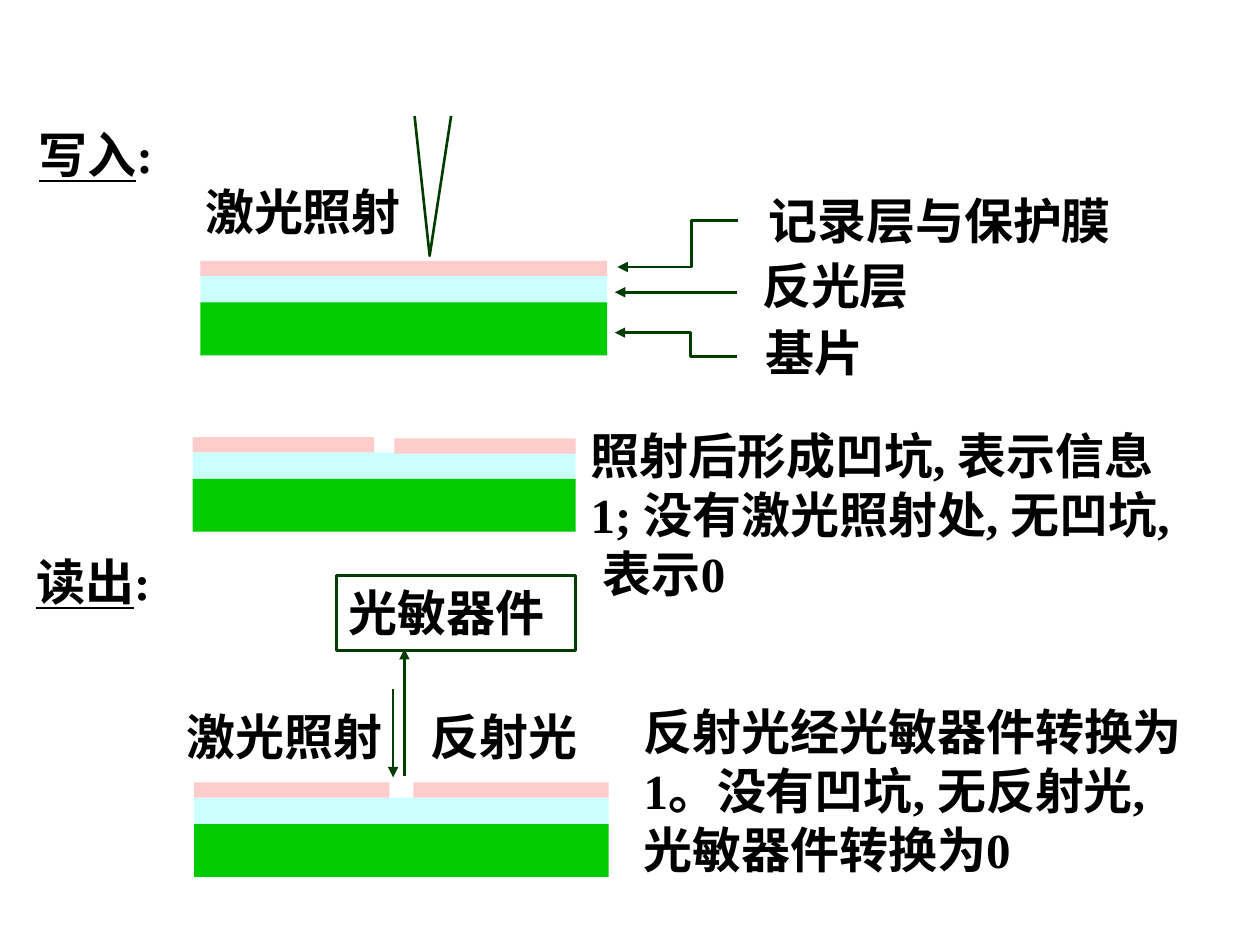
import dataclasses
import pptx
import pptx.dml.color
import pptx.enum.shapes
import pptx.enum.text
import pptx.oxml.ns
import pptx.util
from lxml import etree

Inches = pptx.util.Inches
Pt = pptx.util.Pt
RGB = pptx.dml.color.RGBColor.from_string
RECT = pptx.enum.shapes.MSO_SHAPE.RECTANGLE
LINE = pptx.enum.shapes.MSO_CONNECTOR.STRAIGHT
qn = pptx.oxml.ns.qn


@dataclasses.dataclass
class Theme:
    ink: str = "000000"
    edge: str = "003C00"
    film: str = "FFCCCC"
    mirror: str = "CCFFFF"
    base: str = "00CC00"
    font: str = "Times New Roman"
    size: int = 28
    thin: float = 1.5
    thick: float = 1.75


theme = Theme()


def write(shape, text, under=""):
    """Set underlined words, then plain text, in a top-left aligned frame."""
    frame = shape.text_frame
    frame.word_wrap = True
    frame.auto_size = pptx.enum.text.MSO_AUTO_SIZE.SHAPE_TO_FIT_TEXT
    frame.vertical_anchor = pptx.enum.text.MSO_ANCHOR.TOP
    para = frame.paragraphs[0]
    para.alignment = pptx.enum.text.PP_ALIGN.LEFT
    for words, line in ((under, True), (text, False)):
        if words:
            run = para.add_run()
            run.text = words
            run.font.name = theme.font
            run.font.size = Pt(theme.size)
            run.font.bold = True
            run.font.underline = line
            run.font.color.rgb = RGB(theme.ink)


def stroke(shape, width, arrow=None):
    """Draw the line without shadow; arrow is headEnd or tailEnd."""
    shape.line.color.rgb = RGB(theme.edge)
    shape.line.width = Pt(width)
    props = shape._element.spPr
    if arrow:
        etree.SubElement(props.find(qn("a:ln")), qn("a:" + arrow), type="triangle")
    etree.SubElement(props, qn("a:effectLst"))


deck = pptx.Presentation()
deck.slide_width = Inches(10)
deck.slide_height = Inches(7.5)
slide = deck.slides.add_slide(deck.slide_layouts[6])
shapes = slide.shapes

# Discs: left, width, mirror top, base top, film pieces (left, top, width)
discs = [
    (1.59, 3.23, 2.18, 2.4, [(1.59, 2.07, 3.23)]),
    (1.53, 3.04, 3.59, 3.8, [(1.53, 3.47, 1.44), (3.13, 3.48, 1.44)]),
    (1.54, 3.29, 6.33, 6.54, [(1.54, 6.21, 1.55), (3.28, 6.21, 1.55)]),
]
for left, width, mid, low, films in discs:
    disc = shapes.add_group_shape()
    layers = [(left, mid, width, 0.23, theme.mirror),
              (left, low, width, 0.42, theme.base)]
    layers += [(*film, 0.12, theme.film) for film in films]
    for *box, color in layers:
        layer = disc.shapes.add_shape(RECT, *map(Inches, box))
        layer.shadow.inherit = False
        layer.fill.solid()
        layer.fill.fore_color.rgb = RGB(color)
        layer.line.fill.background()

# Laser beam and bent leaders
bends = [
    ([(3.29, 0.92), (3.41, 2.03), (3.58, 0.92)], None),
    ([(4.9, 2.12), (5.49, 2.12), (5.49, 1.75), (5.86, 1.75)], "headEnd"),
    ([(4.88, 2.64), (5.48, 2.64), (5.48, 2.83), (5.85, 2.83)], "headEnd"),
]
for points, arrow in bends:
    first, *rest = [(Inches(x), Inches(y)) for x, y in points]
    pen = shapes.build_freeform(*first)
    pen.add_line_segments(rest, close=False)
    bend = pen.convert_to_shape()
    bend.fill.background()
    stroke(bend, theme.thin, arrow)

# Straight arrows: mirror leader, laser down, reflection up
for ends in [(5.85, 2.32, 4.88, 2.32),
             (3.12, 5.47, 3.12, 6.17),
             (3.21, 6.16, 3.21, 5.15)]:
    stroke(shapes.add_connector(LINE, *map(Inches, ends)), theme.thin, "tailEnd")

sensor = shapes.add_shape(RECT, Inches(2.67), Inches(4.57), Inches(1.9), Inches(0.59))
sensor.fill.background()
stroke(sensor, theme.thick)
write(sensor, "光敏器件")

# Labels: left, top, width, height, text, underlined lead
labels = [
    (0.21, 0.94, 1.47, 0.57, ":", "写入"),
    (1.53, 1.39, 2.02, 0.57, "激光照射", ""),
    (6, 1.46, 3.41, 0.57, "记录层与保护膜", ""),
    (5.95, 1.98, 1.61, 0.57, "反光层", ""),
    (5.98, 2.51, 1.88, 0.57, "基片", ""),
    (4.59, 3.33, 4.74, 1.51,
     "照射后形成凹坑, 表示信息1; 没有激光照射处, 无凹坑, 表示0", ""),
    (0.19, 4.33, 1.47, 0.57, ":", "读出"),
    (1.38, 5.56, 2.02, 0.57, "激光照射", ""),
    (3.32, 5.56, 2.02, 0.57, "反射光", ""),
    (5.01, 5.52, 4.58, 1.5,
     "反射光经光敏器件转换为1。没有凹坑, 无反射光, 光敏器件转换为0", ""),
]
for *box, text, lead in labels:
    write(shapes.add_textbox(*map(Inches, box)), text, lead)

deck.save("out.pptx")
